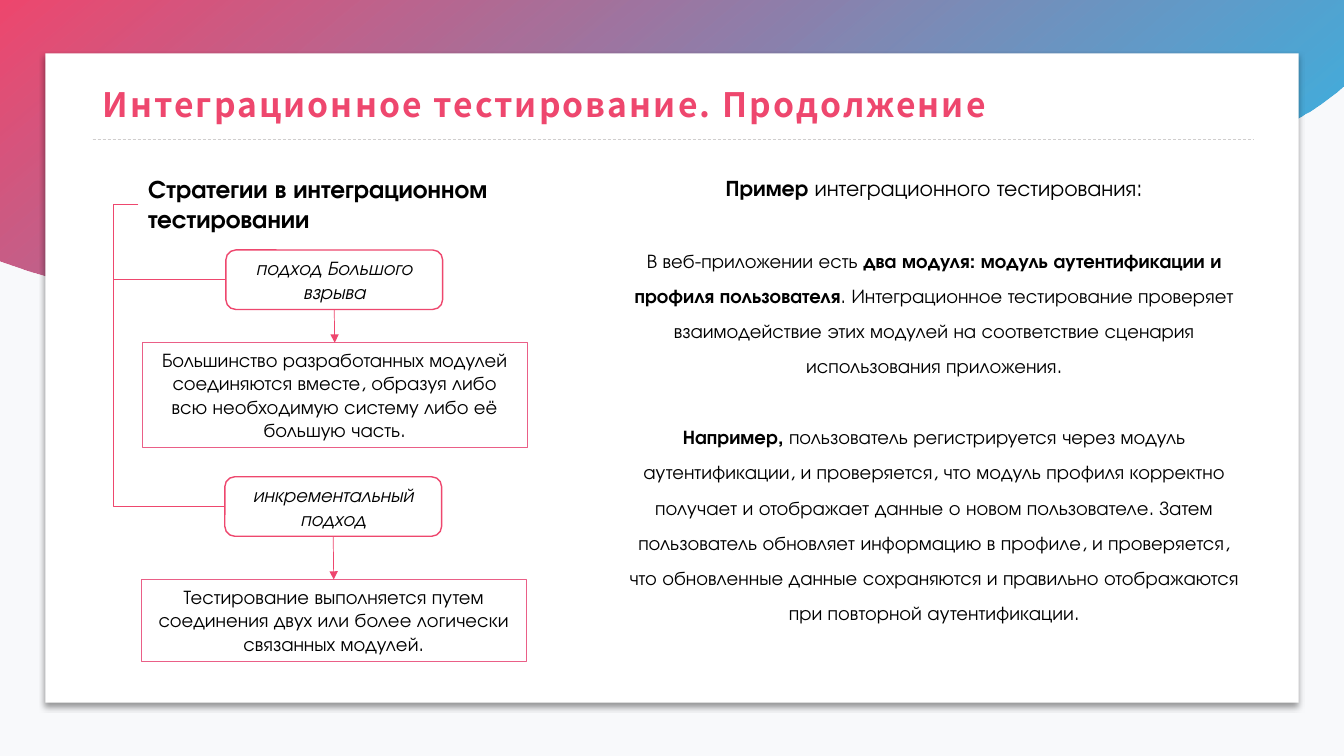
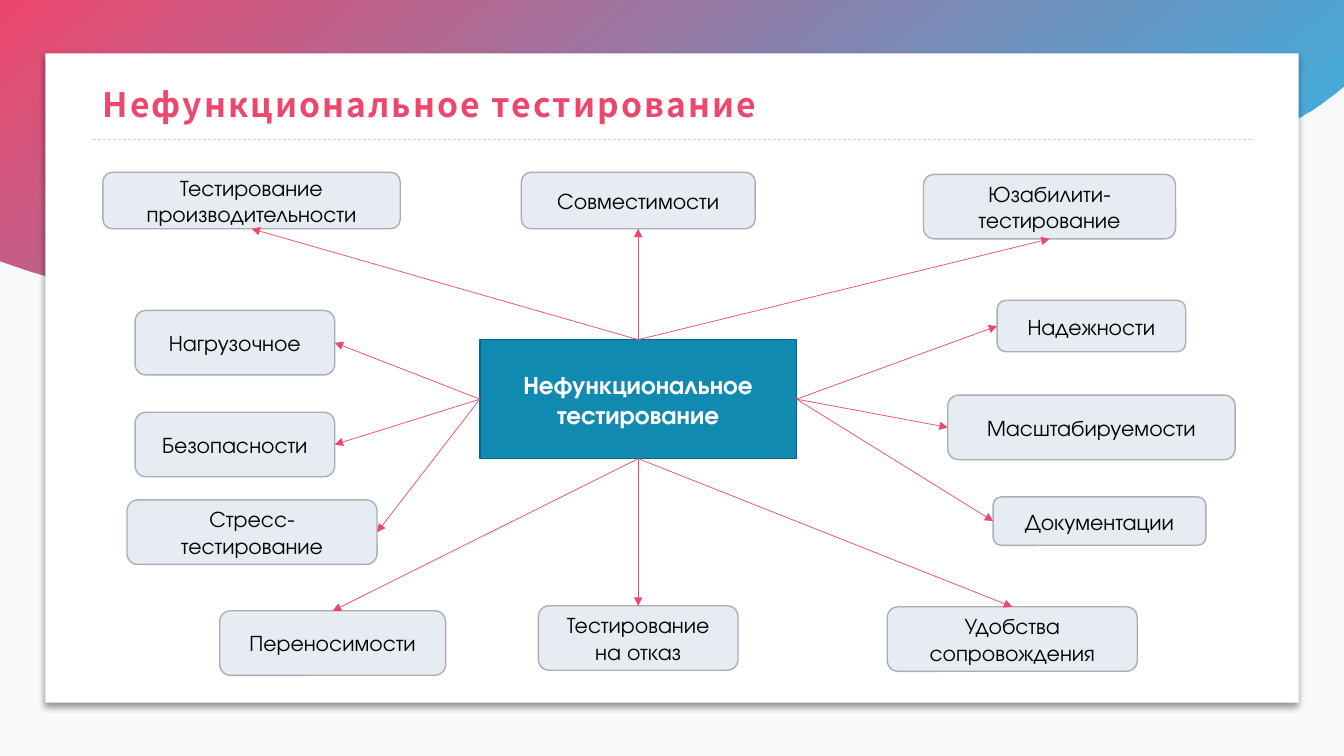
from dataclasses import dataclass

from lxml import etree
from pptx import Presentation
from pptx import util as u
from pptx.dml.color import RGBColor
from pptx.enum import dml, shapes, text
from pptx.oxml import ns

SHAPE = shapes.MSO_SHAPE
TOP, LEFT, BOTTOM, RIGHT = range(4)


@dataclass(frozen=True)
class Theme:
    # Colours
    page: str = "F8F9FB"
    card: str = "FFFFFF"
    accent: str = "EE476E"
    wave_end: str = "16B3E8"
    rule: str = "D0CECE"
    ink: str = "000000"
    note_line: str = "EA5F87"
    core: str = "118AB1"
    core_line: str = "0D6683"
    label: str = "E7ECF2"
    label_line: str = "ABAFB3"
    # Fonts and sizes in points
    title_font: str = "Noto Sans CJK JP"
    body_font: str = "TeX Gyre Adventor"
    title_size: int = 24
    heading_size: int = 18
    label_size: int = 16
    body_size: int = 14


THEME = Theme()

WAVE_START = (0, 2.58)
WAVE_CURVES = [
    ((1.22, 3.04), (2.66, 3.11), (3.93, 2.74)),
    ((5.3, 2.35), (6.48, 1.51), (7.92, 1.36)),
    ((9.36, 1.21), (10.88, 1.8), (12.27, 1.42)),
    ((12.67, 1.31), (13.04, 1.11), (13.33, 0.85)),
]

STRATEGIES = [
    # name, its box, description, its box
    ("подход Большого взрыва", (2.24, 2.48, 2.15, 0.59),
     "Большинство разработанных модулей соединяются вместе, образуя либо "
     "всю необходимую систему либо её большую часть.",
     (1.41, 3.4, 3.82, 1.04)),
    ("инкрементальный подход", (2.23, 4.73, 2.15, 0.59),
     "Тестирование выполняется путем соединения двух или более логически "
     "связанных модулей.",
     (1.4, 5.75, 3.82, 0.81)),
]

# Paragraphs of (text, bold) runs
EXAMPLE = [
    (THEME.label_size,
     [("Пример ", True), ("интеграционного тестирования:", False)]),
    (THEME.body_size,
     [("В веб-приложении есть ", False),
      ("два модуля: модуль аутентификации и профиля пользователя", True),
      (". Интеграционное тестирование проверяет взаимодействие этих модулей "
       "на соответствие сценария использования приложения.", False)]),
    (THEME.body_size,
     [("Например, ", True),
      ("пользователь регистрируется через модуль аутентификации, и "
       "проверяется, что модуль профиля корректно получает и отображает "
       "данные о новом пользователе. Затем пользователь обновляет информацию "
       "в профиле, и проверяется, что обновленные данные сохраняются и "
       "правильно отображаются при повторной аутентификации.", False)]),
]

# Side of the core box -> test kinds reached from it
TEST_KINDS = {
    TOP: [
        ("Тестирование производительности", (1.02, 1.71, 2.95, 0.56)),
        ("Совместимости", (5.17, 1.71, 2.32, 0.56)),
        ("Юзабилити-тестирование", (9.16, 1.73, 2.5, 0.64)),
    ],
    LEFT: [
        ("Нагрузочное", (1.34, 3.08, 1.98, 0.64)),
        ("Безопасности", (1.34, 4.09, 1.98, 0.64)),
        ("Стресс-тестирование", (1.26, 4.96, 2.48, 0.64)),
    ],
    BOTTOM: [
        ("Переносимости", (2.18, 6.06, 2.24, 0.64)),
        ("Тестирование на отказ", (5.34, 6.01, 1.98, 0.64)),
        ("Удобства сопровождения", (8.8, 6.02, 2.48, 0.64)),
    ],
    RIGHT: [
        ("Надежности", (9.89, 2.98, 1.87, 0.51)),
        ("Масштабируемости", (9.4, 3.92, 2.85, 0.64)),
        ("Документации", (9.85, 4.93, 2.11, 0.48)),
    ],
}


# Basic helpers
def rgb(color):
    return RGBColor.from_string(color)


def inches(values):
    return [u.Inches(value) for value in values]


def add_xml(parent, tag, **attributes):
    child = etree.SubElement(parent, ns.qn(tag))
    for name, value in attributes.items():
        child.set(name, str(value))
    return child


def style_run(run, size, color=THEME.ink, bold=False, italic=False,
              font=THEME.body_font):
    run.font.name = font
    run.font.size = u.Pt(size)
    run.font.bold = bold
    run.font.italic = italic
    run.font.color.rgb = rgb(color)


def write(shape, words, size, align=text.PP_ALIGN.CENTER,
          anchor=text.MSO_ANCHOR.MIDDLE, **style):
    frame = shape.text_frame
    frame.word_wrap = True
    frame.vertical_anchor = anchor
    frame.text = words
    paragraph = frame.paragraphs[0]
    paragraph.alignment = align
    style_run(paragraph.runs[0], size, **style)
    return paragraph


def add_box(slide, kind, box, fill=None, line=None, width=1):
    shape = slide.shapes.add_shape(kind, *inches(box))
    shape.shadow.inherit = False
    if fill:
        shape.fill.solid()
        shape.fill.fore_color.rgb = rgb(fill)
    else:
        shape.fill.background()
    if line:
        shape.line.color.rgb = rgb(line)
        shape.line.width = u.Pt(width)
    else:
        shape.line.fill.background()
    return shape


def add_line(slide, ends=(0, 0, 0, 0), color=THEME.accent,
             kind=shapes.MSO_CONNECTOR.STRAIGHT):
    connector = slide.shapes.add_connector(kind, *inches(ends))
    connector.line.color.rgb = rgb(color)
    connector.line.width = u.Pt(0.5)
    add_xml(connector.element.spPr, "a:effectLst")
    return connector


def add_arrow(slide, source, source_side, target, target_side):
    arrow = add_line(slide)
    arrow.begin_connect(source, source_side)
    arrow.end_connect(target, target_side)
    add_xml(arrow.element.spPr.find(ns.qn("a:ln")), "a:tailEnd",
            type="triangle")


def add_branch(slide, source, target, reach=0.25):
    """Bracket that leaves and enters on the left side."""
    branch = add_line(slide, kind=shapes.MSO_CONNECTOR.ELBOW)
    branch.begin_connect(source, LEFT)
    branch.end_connect(target, LEFT)
    bend = -round(u.Inches(reach) / branch.width * 100000)
    geometry = branch.element.spPr.find(ns.qn("a:prstGeom"))
    guides = geometry.find(ns.qn("a:avLst"))
    if guides is None:
        guides = add_xml(geometry, "a:avLst")
    add_xml(guides, "a:gd", name="adj1", fmla=f"val {bend}")


# Shared slide frame
def wave_outline(steps=24):
    points = [WAVE_START]
    for first, second, end in WAVE_CURVES:
        start = points[-1]
        for step in range(1, steps + 1):
            t = step / steps
            points.append(tuple(
                (1 - t) ** 3 * a + 3 * (1 - t) ** 2 * t * b
                + 3 * (1 - t) * t ** 2 * c + t ** 3 * d
                for a, b, c, d in zip(start, first, second, end)))
    return points + [(13.33, 0)]


def add_wave(slide):
    builder = slide.shapes.build_freeform(0, 0)
    builder.add_line_segments([inches(point) for point in wave_outline()])
    wave = builder.convert_to_shape()
    wave.shadow.inherit = False
    wave.line.fill.background()
    wave.fill.gradient()
    wave.fill.gradient_angle = 310
    for stop, color in zip(wave.fill.gradient_stops,
                           (THEME.accent, THEME.wave_end)):
        stop.color.rgb = rgb(color)
    end_color = wave.element.spPr.findall(".//" + ns.qn("a:srgbClr"))[-1]
    add_xml(end_color, "a:alpha", val=90000)


def add_card(slide):
    card = add_box(slide, SHAPE.RECTANGLE, (0.45, 0.53, 12.43, 6.44),
                   THEME.card)
    effects = card.element.spPr.find(ns.qn("a:effectLst"))
    shadow = add_xml(effects, "a:outerShdw", blurRad=u.Pt(4), dist=u.Pt(3),
                     dir=5400000, algn="t", rotWithShape=0)
    add_xml(add_xml(shadow, "a:srgbClr", val="000000"), "a:alpha", val=40000)


def add_framed_slide(deck, title):
    slide = deck.slides.add_slide(deck.slide_layouts[6])
    slide.background.fill.solid()
    slide.background.fill.fore_color.rgb = rgb(THEME.page)
    add_wave(slide)
    add_card(slide)
    title_rule = add_line(slide, (0.92, 1.38, 12.43, 1.38), THEME.rule)
    title_rule.line.dash_style = dml.MSO_LINE.DASH
    heading = slide.shapes.add_textbox(*inches((0.92, 0.74, 11.5, 0.64)))
    paragraph = write(heading, title, THEME.title_size, text.PP_ALIGN.LEFT,
                      color=THEME.accent, bold=True, font=THEME.title_font)
    paragraph.line_spacing = 0.9
    paragraph.runs[0].font._element.set("spc", "150")
    return slide


# Slide content
def add_example(slide):
    example = slide.shapes.add_textbox(*inches((6.12, 1.55, 6.29, 5.1)))
    frame = example.text_frame
    frame.word_wrap = True
    for index, (size, runs) in enumerate(EXAMPLE):
        paragraph = frame.add_paragraph() if index else frame.paragraphs[0]
        paragraph.alignment = text.PP_ALIGN.CENTER
        paragraph.line_spacing = 1.5
        if index:
            paragraph.space_before = u.Pt(25.2)
        for words, bold in runs:
            run = paragraph.add_run()
            run.text = words
            style_run(run, size, bold=bold)


def add_strategies(slide):
    heading = slide.shapes.add_textbox(*inches((1.37, 1.67, 4.66, 0.71)))
    write(heading, "Стратегии в интеграционном тестировании",
          THEME.heading_size, text.PP_ALIGN.LEFT, text.MSO_ANCHOR.TOP,
          bold=True)
    for name, name_box, description, description_box in STRATEGIES:
        strategy = add_box(slide, SHAPE.ROUNDED_RECTANGLE, name_box,
                           THEME.card, THEME.accent)
        write(strategy, name, THEME.body_size, italic=True)
        details = add_box(slide, SHAPE.RECTANGLE, description_box,
                          line=THEME.note_line, width=0.75)
        write(details, description, THEME.body_size,
              anchor=text.MSO_ANCHOR.TOP)
        add_branch(slide, heading, strategy)
        add_arrow(slide, strategy, BOTTOM, details, TOP)


def add_test_map(slide):
    core = add_box(slide, SHAPE.RECTANGLE, (4.76, 3.37, 3.14, 1.18),
                   THEME.core, THEME.core_line)
    write(core, "Нефункциональное тестирование", THEME.heading_size,
          color=THEME.card, bold=True)
    for side, kinds in TEST_KINDS.items():
        for name, box in kinds:
            test_kind = add_box(slide, SHAPE.ROUNDED_RECTANGLE, box,
                                THEME.label, THEME.label_line)
            write(test_kind, name, THEME.label_size)
            add_arrow(slide, core, side, test_kind, (side + 2) % 4)


def main():
    deck = Presentation()
    deck.slide_width, deck.slide_height = inches((13.33, 7.5))

    integration = add_framed_slide(
        deck, "Интеграционное тестирование. Продолжение")
    add_example(integration)
    add_strategies(integration)

    add_test_map(add_framed_slide(deck, "Нефункциональное тестирование"))

    deck.save("out.pptx")


if __name__ == "__main__":
    main()
